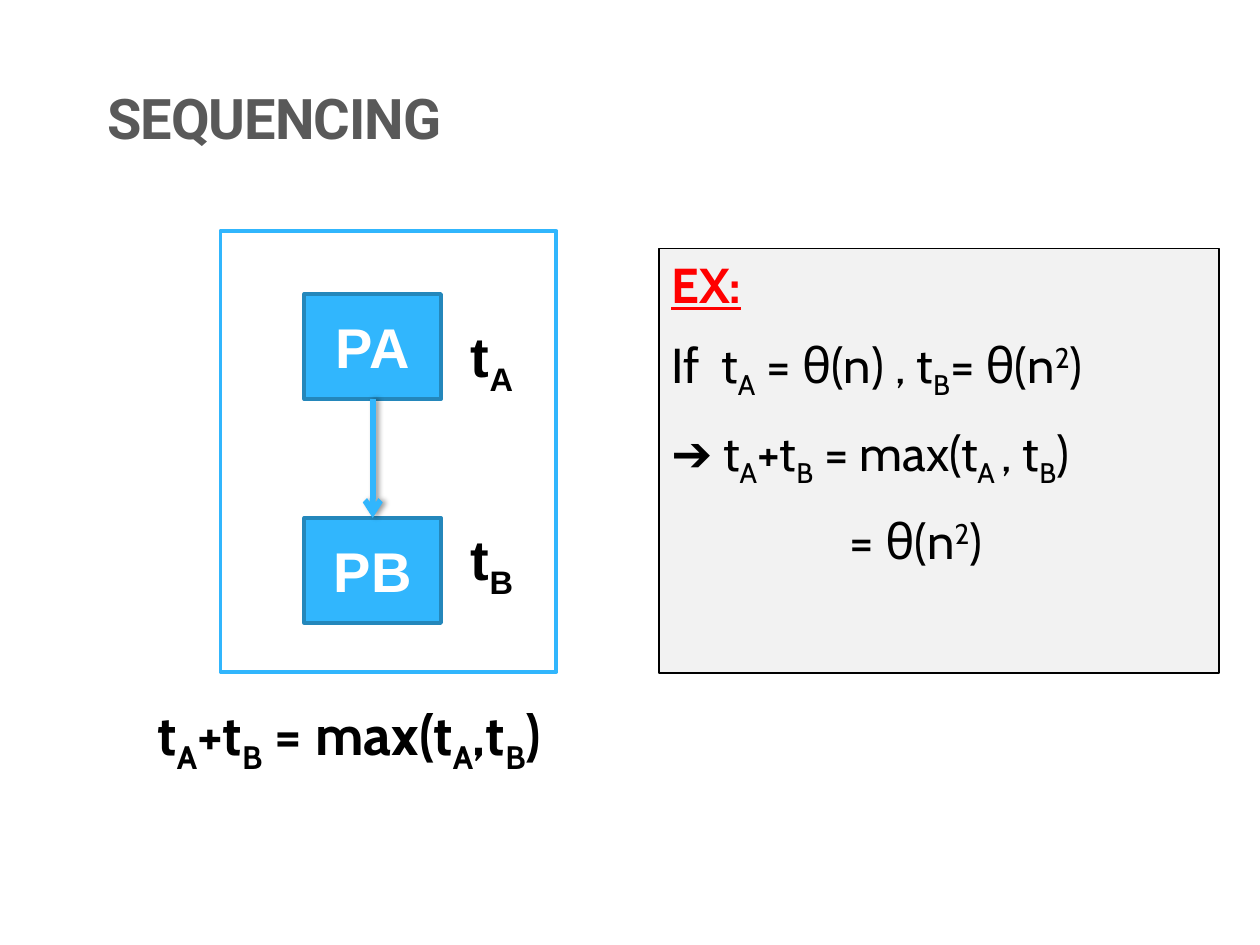
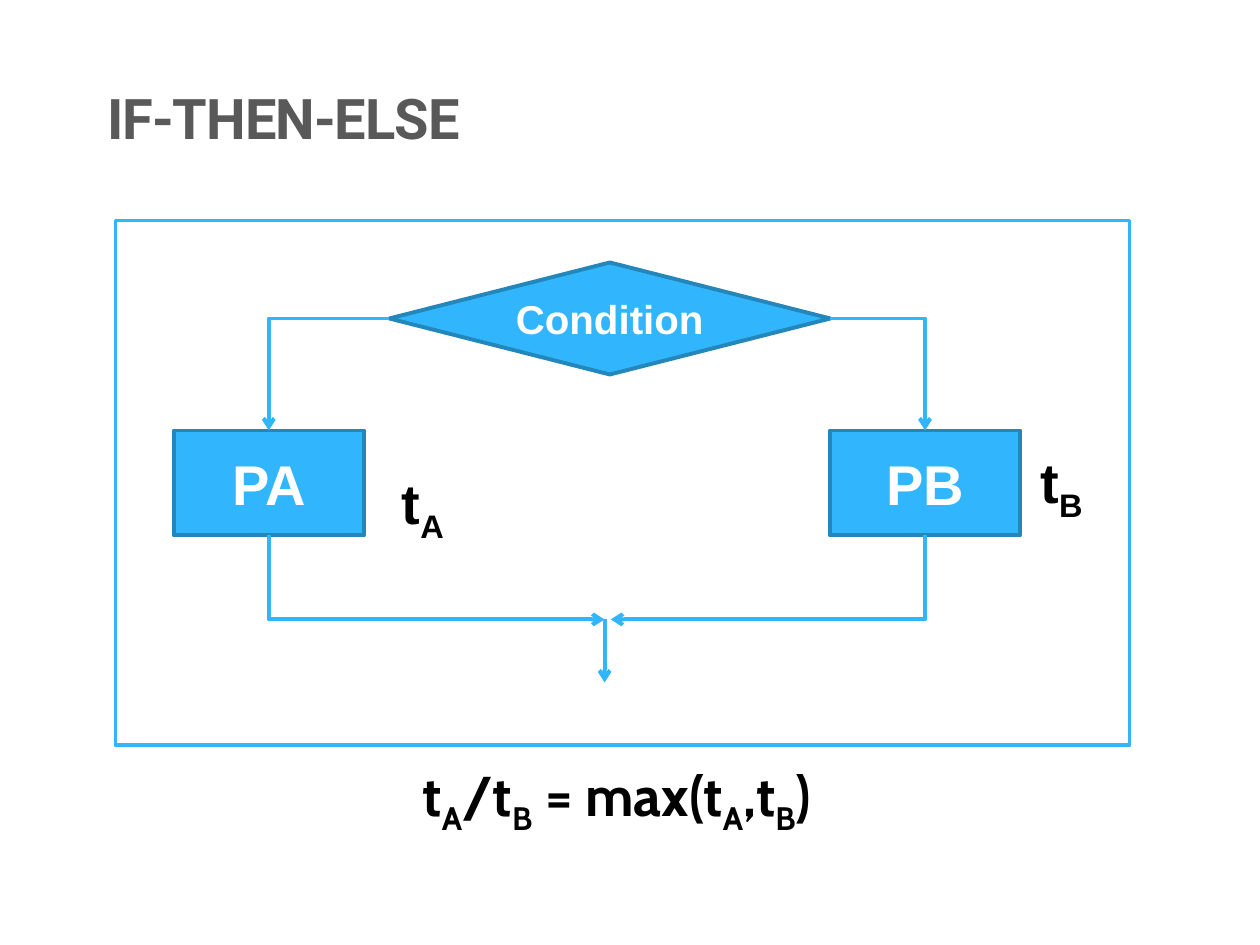
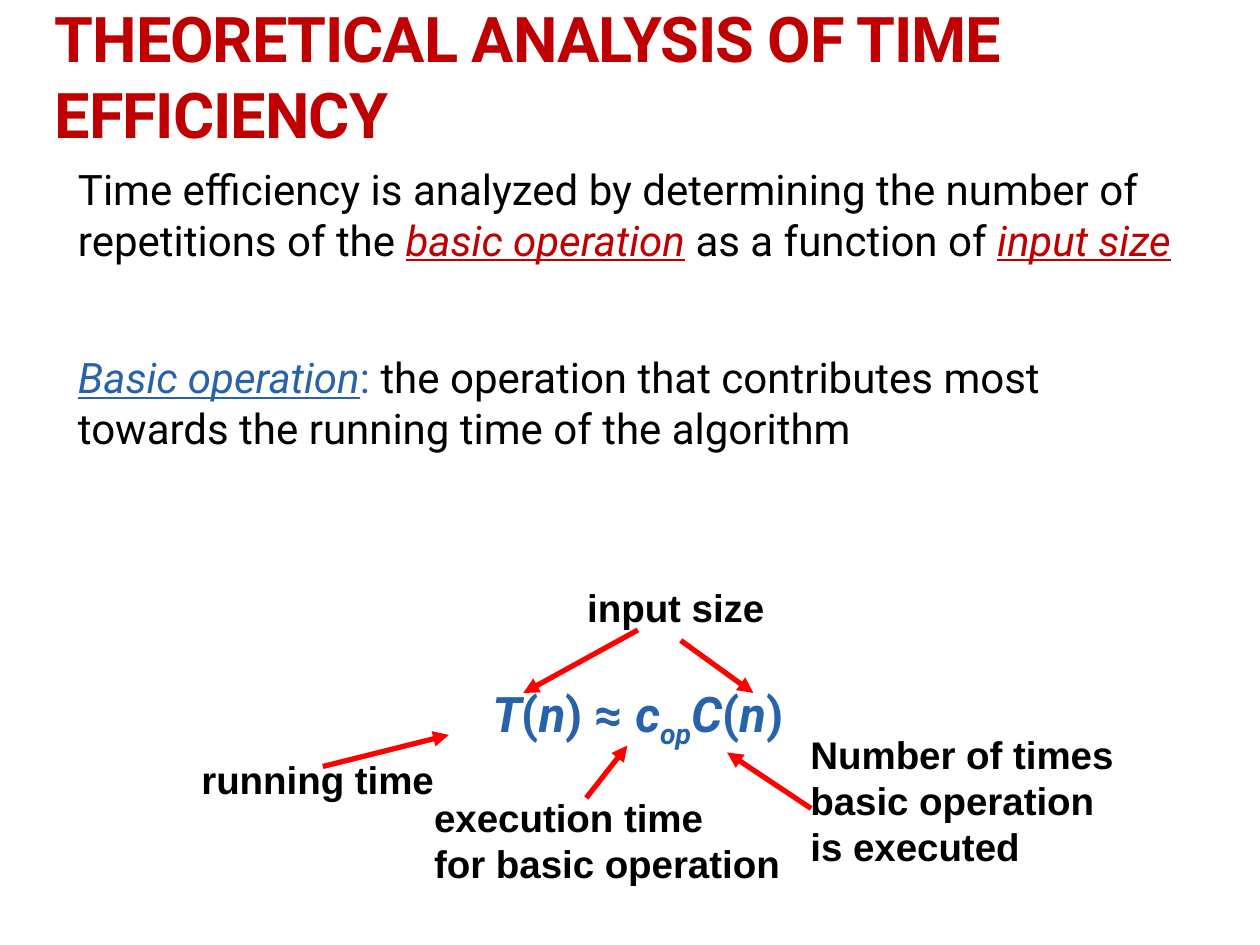
from lxml import etree
from pptx import Presentation
from pptx.dml.color import RGBColor
from pptx.enum.shapes import MSO_CONNECTOR, MSO_SHAPE
from pptx.enum.text import MSO_ANCHOR, MSO_AUTO_SIZE, PP_ALIGN
from pptx.oxml.ns import qn
from pptx.util import Pt

STRAIGHT, ELBOW = MSO_CONNECTOR.STRAIGHT, MSO_CONNECTOR.ELBOW
RECT, DECISION = MSO_SHAPE.RECTANGLE, MSO_SHAPE.FLOWCHART_DECISION
LEFT, CENTER = PP_ALIGN.LEFT, PP_ALIGN.CENTER
TOP, MIDDLE, BOTTOM = MSO_ANCHOR.TOP, MSO_ANCHOR.MIDDLE, MSO_ANCHOR.BOTTOM
SITE_TOP, SITE_LEFT, SITE_BOTTOM, SITE_RIGHT = range(4)

BLACK = RGBColor(0x00, 0x00, 0x00)
WHITE = RGBColor(0xFF, 0xFF, 0xFF)
SKY = RGBColor(0x31, 0xB6, 0xFD)
SKY_EDGE = RGBColor(0x24, 0x87, 0xBB)
PALE = RGBColor(0xF2, 0xF2, 0xF2)
GREY = RGBColor(0x59, 0x59, 0x59)
RED = RGBColor(0xFF, 0x00, 0x00)
CRIMSON = RGBColor(0xC0, 0x00, 0x00)
BLUE = RGBColor(0x28, 0x62, 0xAA)

TITLE_FONT, MATH_FONT, LABEL_FONT = "Roboto", "Cabin", "Arial"


def sub(text):
    return text, {"baseline": -25}


def sup(text):
    return text, {"baseline": 30}


def italic(text, **style):
    return text, {"italic": True, **style}


T_A = ["t", sub("A")]
T_B = ["t", sub("B")]
MAX_AB = [" = max(t", sub("A"), ",t", sub("B"), ")"]


def set_font(p, name, size, color, bold=False):
    p.font.name = name
    p.font.size = Pt(size)
    p.font.bold = bold
    p.font.color.rgb = color


def add_runs(p, runs):
    """Add runs, each a string or a (string, style) pair."""
    for item in runs:
        text, style = (item, {}) if isinstance(item, str) else item
        r = p.add_run()
        r.text = text
        for key, value in style.items():
            if key == "baseline":
                r._r.get_or_add_rPr().set("baseline", str(value * 1000))
            elif key == "color":
                r.font.color.rgb = value
            else:
                setattr(r.font, key, value)


def fill_text(tf, paragraphs, font, size, color, bold=False, align=LEFT, gap=0):
    for i, runs in enumerate(paragraphs):
        p = tf.add_paragraph() if i else tf.paragraphs[0]
        p.alignment = align
        if i:
            p.space_before = Pt(gap)
        set_font(p, font, size, color, bold)
        add_runs(p, runs)


def add_slide(prs, title, box=(54, 24, 600, 66), size=32, color=GREY):
    s = prs.slides.add_slide(prs.slide_layouts[5])
    sp = s.shapes.title
    sp.left, sp.top, sp.width, sp.height = map(Pt, box)
    tf = sp.text_frame
    tf.auto_size = MSO_AUTO_SIZE.NONE
    tf.word_wrap = True
    tf.vertical_anchor = BOTTOM
    fill_text(tf, [[title]], TITLE_FONT, size, color, bold=True)
    tf.paragraphs[0].runs[0]._r.get_or_add_rPr().set("spc", "-60")
    return s


def add_text(s, box, paragraphs, font, size, color=BLACK, wrap=True, **options):
    tf = s.shapes.add_textbox(*map(Pt, box)).text_frame
    tf.word_wrap = wrap
    fill_text(tf, paragraphs, font, size, color, **options)


def add_box(s, box, fill, line, width=2.25, kind=RECT):
    sp = s.shapes.add_shape(kind, *map(Pt, box))
    sp.shadow.inherit = False
    sp.fill.solid()
    sp.fill.fore_color.rgb = fill
    sp.line.color.rgb = line
    sp.line.width = Pt(width)
    return sp


def add_step(s, box, text, size=32, kind=RECT):
    sp = add_box(s, box, SKY, SKY_EDGE, kind=kind)
    sp.text_frame.vertical_anchor = MIDDLE
    fill_text(sp.text_frame, [[text]], LABEL_FONT, size, WHITE, bold=True, align=CENTER)
    return sp


def add_arrow(s, start, end, color=SKY, width=2.25, head="arrow", at_start=False,
              kind=STRAIGHT):
    """Add an arrow; an elbow runs sideways first, then up or down."""
    c = s.shapes.add_connector(kind, *map(Pt, start + end))
    c.line.color.rgb = color
    c.line.width = Pt(width)
    if kind == ELBOW:
        c._element.spPr.find(qn("a:prstGeom")).set("prst", "bentConnector2")
    tag = "a:headEnd" if at_start else "a:tailEnd"
    etree.SubElement(c.line._get_or_add_ln(), qn(tag), type=head)
    etree.SubElement(c._element.spPr, qn("a:effectLst"))
    return c


def add_soft_shadow(c):
    effects = c._element.spPr.find(qn("a:effectLst"))
    shadow = etree.SubElement(effects, qn("a:outerShdw"), blurRad=str(int(Pt(3.1))),
                              dist=str(int(Pt(1.8))), dir="0", rotWithShape="0")
    color = etree.SubElement(shadow, qn("a:srgbClr"), val=str(BLACK))
    etree.SubElement(color, qn("a:alpha"), val="40000")


def add_time(s, left, top, runs):
    add_text(s, (left, top, 50, 46), [runs], LABEL_FONT, 32, bold=True)


def sequencing(prs):
    s = add_slide(prs, "SEQUENCING")
    add_text(s, (83, 396, 302, 60), [T_A + ["+"] + T_B + MAX_AB], MATH_FONT, 32, bold=True)
    add_box(s, (126, 132, 192, 252), WHITE, SKY)
    pa = add_step(s, (174, 168, 78, 60), "PA")
    pb = add_step(s, (174, 296, 78, 60), "PB")
    c = add_arrow(s, (213, 228), (213, 296), width=3.25)
    c.begin_connect(pa, SITE_BOTTOM)
    c.end_connect(pb, SITE_TOP)
    add_soft_shadow(c)
    add_time(s, 262, 180, T_A)
    add_time(s, 262, 296, T_B)

    tf = add_box(s, (376.5, 142, 320, 242.5), PALE, BLACK, 1).text_frame
    tf.vertical_anchor = TOP
    example = [
        [("EX:", {"bold": True, "underline": True, "color": RED})],
        ["If  "] + T_A + [" = θ(n) , "] + T_B + ["= θ(n", sup("2"), ")"],
        ["➔ "] + T_A + ["+"] + T_B + [" = max(t", sub("A "), ", "] + T_B + [")"],
        ["= θ(n", sup("2"), ")"],
    ]
    fill_text(tf, example, MATH_FONT, 28, BLACK, gap=12)
    tf.paragraphs[-1]._p.get_or_add_pPr().set("marL", str(int(Pt(102))))


def if_then_else(prs):
    s = add_slide(prs, "IF-THEN-ELSE")
    add_text(s, (52.5, 431, 600, 52), [T_A + ["/"] + T_B + MAX_AB], MATH_FONT, 32,
             bold=True, align=CENTER)
    add_box(s, (66, 126, 579.5, 300), WHITE, SKY)
    pa = add_step(s, (99.3, 246, 108.7, 60), "PA")
    pb = add_step(s, (474.3, 246, 108.7, 60), "PB")
    condition = add_step(s, (222.5, 150, 252, 64), "Condition", 23, DECISION)

    join_x, join_y = 345.5, 354
    branches = [(pa, 153.65, 222.5, SITE_LEFT, join_x),
                (pb, 528.65, 474.5, SITE_RIGHT, join_x + 3.5)]
    for step, middle, corner, site, meet in branches:
        c = add_arrow(s, (corner, 182), (middle, 246), kind=ELBOW)
        c.begin_connect(condition, site)
        c.end_connect(step, SITE_TOP)
        c = add_arrow(s, (meet, join_y), (middle, 306), at_start=True, kind=ELBOW)
        c.end_connect(step, SITE_BOTTOM)
    add_arrow(s, (join_x, join_y), (join_x, 390))
    add_time(s, 222.5, 264, T_A)
    add_time(s, 587.5, 252, T_B)


def time_efficiency(prs):
    s = add_slide(prs, "THEORETICAL ANALYSIS OF TIME EFFICIENCY", (24, 24, 708, 66), 36, CRIMSON)
    term = {"underline": True, "color": CRIMSON}
    add_text(s, (37.5, 90, 654, 180), [
        ["Time efficiency is analyzed by determining the number of repetitions of the ",
         italic("basic operation", **term), " as a function of ", italic("input size", **term)],
        [italic("Basic operation", underline=True, color=BLUE), (": ", {"color": BLUE}),
         "the operation that contributes most towards the running time of the algorithm"],
    ], TITLE_FONT, 24, gap=50)
    add_text(s, (37.5, 387, 654, 46), [[
        italic("T"), "(", italic("n"), ") ≈ ", italic("c"), italic("op", baseline=-25),
        italic("C"), "(", italic("n"), ")",
    ]], TITLE_FONT, 28, BLUE, bold=True, align=CENTER)

    labels = [
        ((108, 428.5, 149, 34), ["running time"], False),
        ((241, 450, 215, 60), ["execution time", "for basic operation"], False),
        ((456, 414, 198, 87), ["Number of times basic operation is executed"], True),
        ((328.5, 330, 117, 34), ["input size"], False),
    ]
    for box, lines, wrap in labels:
        add_text(s, box, [[line] for line in lines], LABEL_FONT, 22, wrap=wrap, bold=True)

    pointers = [
        ((184.5, 438), (256.5, 420)),
        ((335, 456), (358.5, 426)),
        ((463.5, 462), (415.5, 430)),
        ((389, 366), (430.5, 396)),
        ((364.5, 360), (299, 396)),
    ]
    for start, end in pointers:
        add_arrow(s, start, end, RED, 3, "triangle")


def main():
    prs = Presentation()
    prs.slide_width, prs.slide_height = Pt(720), Pt(540)
    sequencing(prs)
    if_then_else(prs)
    time_efficiency(prs)
    prs.save("out.pptx")


if __name__ == "__main__":
    main()
